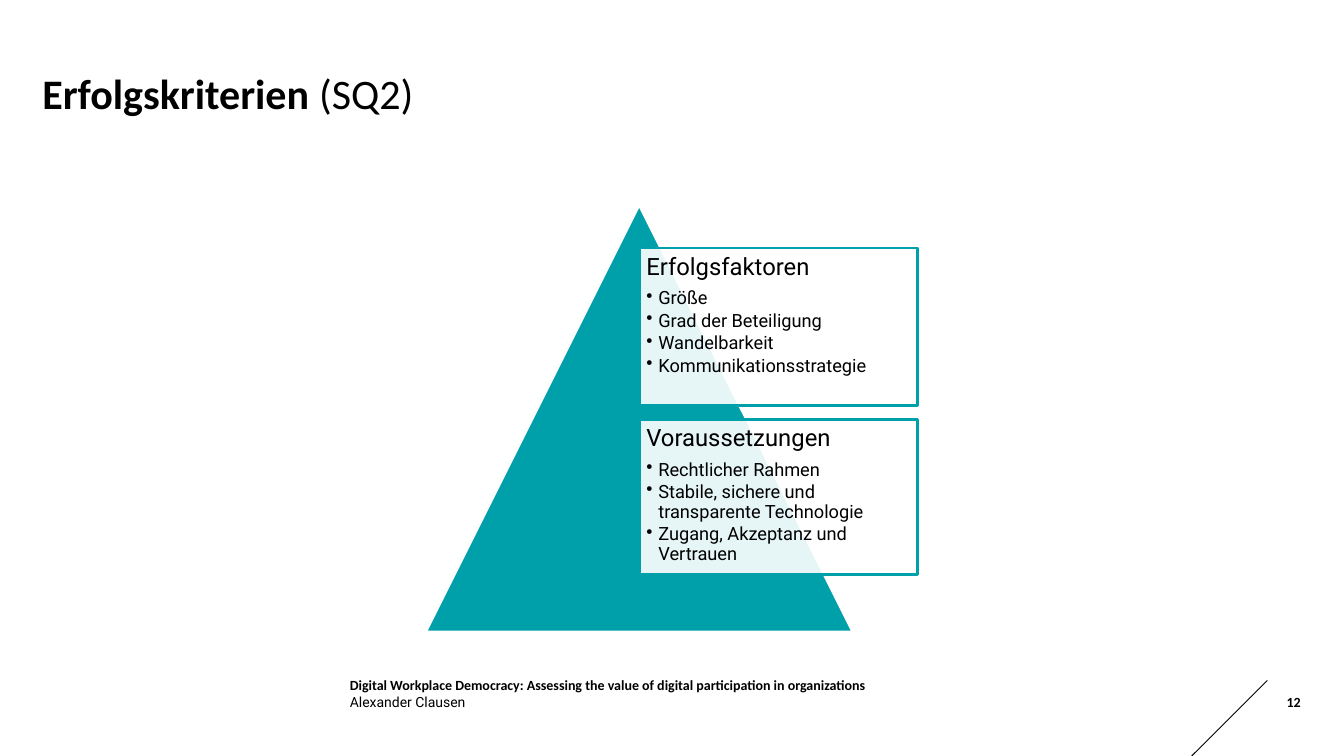
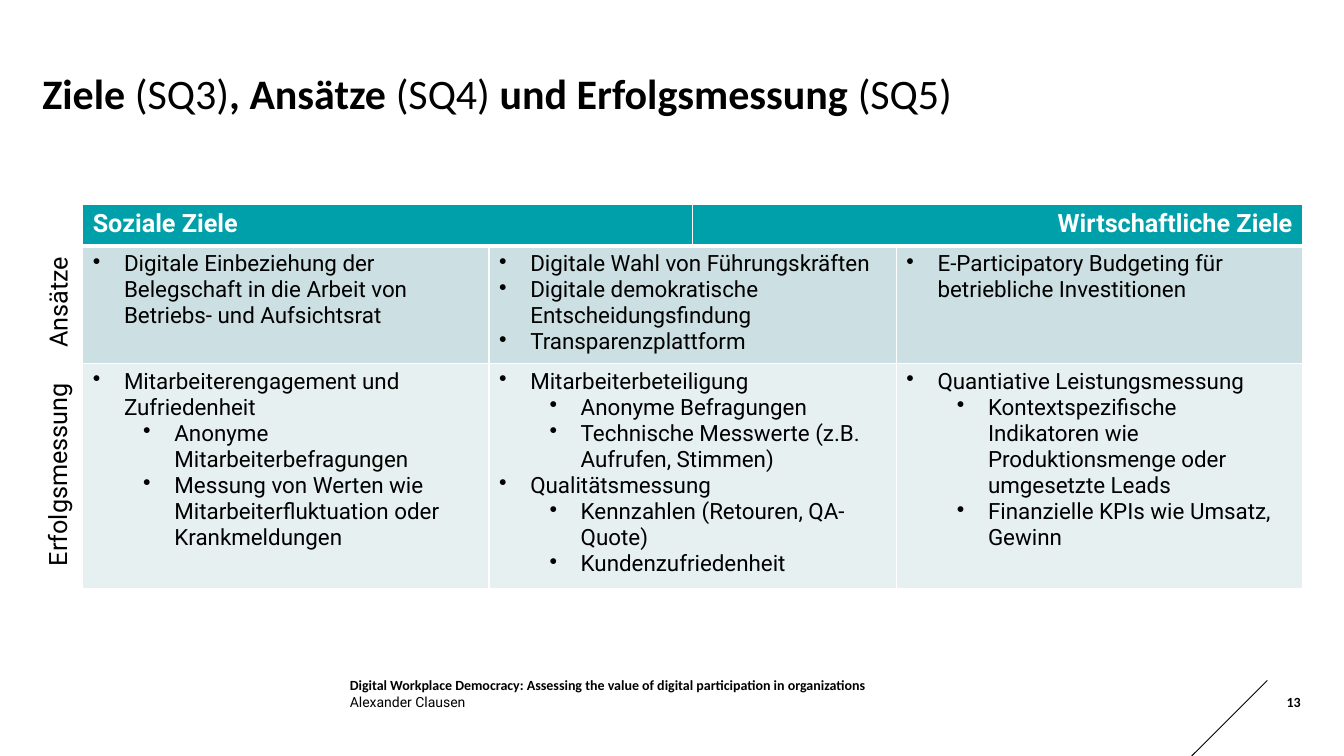
"""Build two slides on success criteria, goals, approaches and measurement."""
from lxml import etree
from pptx import Presentation
from pptx.dml.color import RGBColor
from pptx.enum.shapes import MSO_CONNECTOR, MSO_SHAPE
from pptx.enum.text import MSO_ANCHOR, MSO_AUTO_SIZE, PP_ALIGN
from pptx.oxml.ns import qn
from pptx.util import Inches, Pt

LEFT, CENTER, RIGHT = PP_ALIGN.LEFT, PP_ALIGN.CENTER, PP_ALIGN.RIGHT
TOP, MIDDLE = MSO_ANCHOR.TOP, MSO_ANCHOR.MIDDLE
NO_FIT = MSO_AUTO_SIZE.NONE
STRAIGHT = MSO_CONNECTOR.STRAIGHT
TRIANGLE, RECTANGLE = MSO_SHAPE.ISOSCELES_TRIANGLE, MSO_SHAPE.RECTANGLE

rgb = RGBColor.from_string
TEAL, BLACK, WHITE = "00A0AA", "000000", "FFFFFF"
ROW_FILLS = [TEAL, "CCDFE2", "E7F0F1"]
HEAD_FONT, BODY_FONT = "Calibri", "Roboto"
AUTHOR = "Alexander Clausen"
PAPER = "Digital Workplace Democracy: Assessing the value of digital participation in organizations"


def write(p, text, size, font=BODY_FONT, bold=False, color=BLACK, align=LEFT, bullet=None):
    """Add a formatted run; bullet is (left margin, hanging indent) in inches."""
    if bullet:
        pPr = p._p.get_or_add_pPr()
        pPr.set("marL", str(Inches(bullet[0])))
        pPr.set("indent", str(-Inches(bullet[1])))
        etree.SubElement(pPr, qn("a:buChar")).set("char", "•")
    p.alignment = align
    r = p.add_run()
    r.text = text
    r.font.name, r.font.size, r.font.bold = font, Pt(size), bold
    r.font.color.rgb = rgb(color)


def add_label(slide, box, text, size, rotation=0, anchor=MIDDLE, **style):
    """Add a text box without margins."""
    sp = slide.shapes.add_textbox(*map(Inches, box))
    sp.rotation = rotation
    tf = sp.text_frame
    tf.word_wrap = True
    tf.vertical_anchor = anchor
    tf.margin_left = tf.margin_top = tf.margin_right = tf.margin_bottom = 0
    write(tf.paragraphs[0], text, size, **style)


prs = Presentation()
prs.slide_width, prs.slide_height = Inches(13.33), Inches(7.5)

titles = [
    ["Erfolgskriterien ", "(SQ2)"],
    ["Ziele ", "(SQ3)", ", Ansätze ", "(SQ4)", " und Erfolgsmessung ", "(SQ5)"],
]
for number, parts in enumerate(titles, 12):
    s = prs.slides.add_slide(prs.slide_layouts[5])
    title = s.shapes.title
    title.left, title.top, title.width, title.height = map(Inches, (0.42, 0.67, 12.5, 0.5))
    tf = title.text_frame
    tf.auto_size, tf.vertical_anchor = NO_FIT, TOP
    tf.margin_left = tf.margin_top = tf.margin_right = tf.margin_bottom = 0
    for i, part in enumerate(parts):
        write(tf.paragraphs[0], part, 30, HEAD_FONT, bold=i % 2 == 0)

    slash = s.shapes.add_connector(STRAIGHT, *map(Inches, (11.82, 7.5, 12.57, 6.75)))
    slash.line.color.rgb, slash.line.width = rgb(BLACK), Pt(0.75)
    etree.SubElement(slash._element.spPr, qn("a:effectLst"))

    add_label(s, (3.47, 6.71, 6.36, 0.17), PAPER, 10, font=HEAD_FONT, bold=True)
    add_label(s, (3.47, 6.88, 6.36, 0.17), AUTHOR, 10)
    add_label(s, (12.34, 6.88, 0.56, 0.17), str(number), 10, font=HEAD_FONT, bold=True, align=RIGHT)

criteria, goals = prs.slides

pyramid = criteria.shapes.add_shape(TRIANGLE, *map(Inches, (4.22, 2.03, 4.24, 4.24)))
pyramid.shadow.inherit = False
pyramid.fill.solid()
pyramid.fill.fore_color.rgb = rgb(TEAL)
pyramid.line.color.rgb, pyramid.line.width = rgb(WHITE), Pt(2)

boxes = [
    (2.46, 1.56, "Erfolgsfaktoren",
     ["Größe", "Grad der Beteiligung", "Wandelbarkeit", "Kommunikationsstrategie"]),
    (4.16, 1.54, "Voraussetzungen",
     ["Rechtlicher Rahmen", "Stabile, sichere und transparente Technologie",
      "Zugang, Akzeptanz und Vertrauen"]),
]
for top, height, heading, items in boxes:
    sp = criteria.shapes.add_shape(RECTANGLE, *map(Inches, (6.34, top, 2.76, height)))
    sp.shadow.inherit = False
    sp.fill.solid()
    sp.fill.fore_color.rgb = rgb(WHITE)
    color = sp._element.spPr.find(qn("a:solidFill"))[0]
    etree.SubElement(color, qn("a:alpha")).set("val", "90000")
    sp.line.color.rgb, sp.line.width = rgb(TEAL), Pt(2)
    tf = sp.text_frame
    tf.word_wrap, tf.vertical_anchor = True, TOP
    tf.margin_left = tf.margin_top = tf.margin_right = tf.margin_bottom = Inches(0.07)
    p = tf.paragraphs[0]
    write(p, heading, 17)
    p.line_spacing, p.space_after = 0.9, Pt(6)
    for item in items:
        p = tf.add_paragraph()
        write(p, item, 13, bullet=(0.12, 0.12))
        p.line_spacing, p.space_after = 0.9, Pt(2)

frame = goals.shapes.add_table(3, 4, *map(Inches, (0.82, 2.03, 12.1, 3.7)))
table = frame.table
table.first_row = table.horz_banding = False
for column, width in zip(table.columns, (4.03, 2.02, 2.02, 4.03)):
    column.width = Inches(width)
for row, height in zip(table.rows, (0.41, 1.13, 2.16)):
    row.height = Inches(height)

for row, fill in enumerate(ROW_FILLS):
    for column in range(4):
        cell = table.cell(row, column)
        tcPr = cell._tc.get_or_add_tcPr()
        for side in "LRTB":
            thick = (row, side) in [(0, "B"), (1, "T")]
            ln = etree.SubElement(tcPr, qn("a:ln" + side), w=str(Pt(3 if thick else 1)))
            line_fill = etree.SubElement(ln, qn("a:solidFill"))
            etree.SubElement(line_fill, qn("a:srgbClr"), val=WHITE)
        cell.fill.solid()
        cell.fill.fore_color.rgb = rgb(fill)

for row, first, last in [(0, 0, 1), (0, 2, 3), (1, 1, 2), (2, 1, 2)]:
    table.cell(row, first).merge(table.cell(row, last))

for column, text, align in [(0, "Soziale Ziele", LEFT), (2, "Wirtschaftliche Ziele", RIGHT)]:
    p = table.cell(0, column).text_frame.paragraphs[0]
    write(p, text, 18, bold=True, color=WHITE, align=align)

entries = {
    (1, 0): [(0, "Digitale Einbeziehung der Belegschaft in die Arbeit von Betriebs- und Aufsichtsrat")],
    (1, 1): [(0, "Digitale Wahl von Führungskräften"),
             (0, "Digitale demokratische Entscheidungsfindung"),
             (0, "Transparenzplattform")],
    (1, 3): [(0, "E-Participatory Budgeting für betriebliche Investitionen")],
    (2, 0): [(0, "Mitarbeiterengagement und Zufriedenheit"),
             (1, "Anonyme Mitarbeiterbefragungen"),
             (1, "Messung von Werten wie Mitarbeiterfluktuation oder Krankmeldungen")],
    (2, 1): [(0, "Mitarbeiterbeteiligung"),
             (1, "Anonyme Befragungen"),
             (1, "Technische Messwerte (z.B. Aufrufen, Stimmen)"),
             (0, "Qualitätsmessung"),
             (1, "Kennzahlen (Retouren, QA-Quote)"),
             (1, "Kundenzufriedenheit")],
    (2, 3): [(0, "Quantiative Leistungsmessung"),
             (1, "Kontextspezifische Indikatoren wie Produktionsmenge oder umgesetzte Leads"),
             (1, "Finanzielle KPIs wie Umsatz, Gewinn")],
}
for (row, column), items in entries.items():
    tf = table.cell(row, column).text_frame
    for i, (level, text) in enumerate(items):
        p = tf.add_paragraph() if i else tf.paragraphs[0]
        p.level = level
        write(p, text, 16, bullet=(0.31 + 0.5 * level, 0.31))

for box, text in [((-0.01, 2.85, 1.16, 0.3), "Ansätze"), ((-0.56, 4.56, 2.25, 0.3), "Erfolgsmessung")]:
    add_label(goals, box, text, 18, rotation=270, anchor=TOP, align=CENTER)

prs.save("out.pptx")
